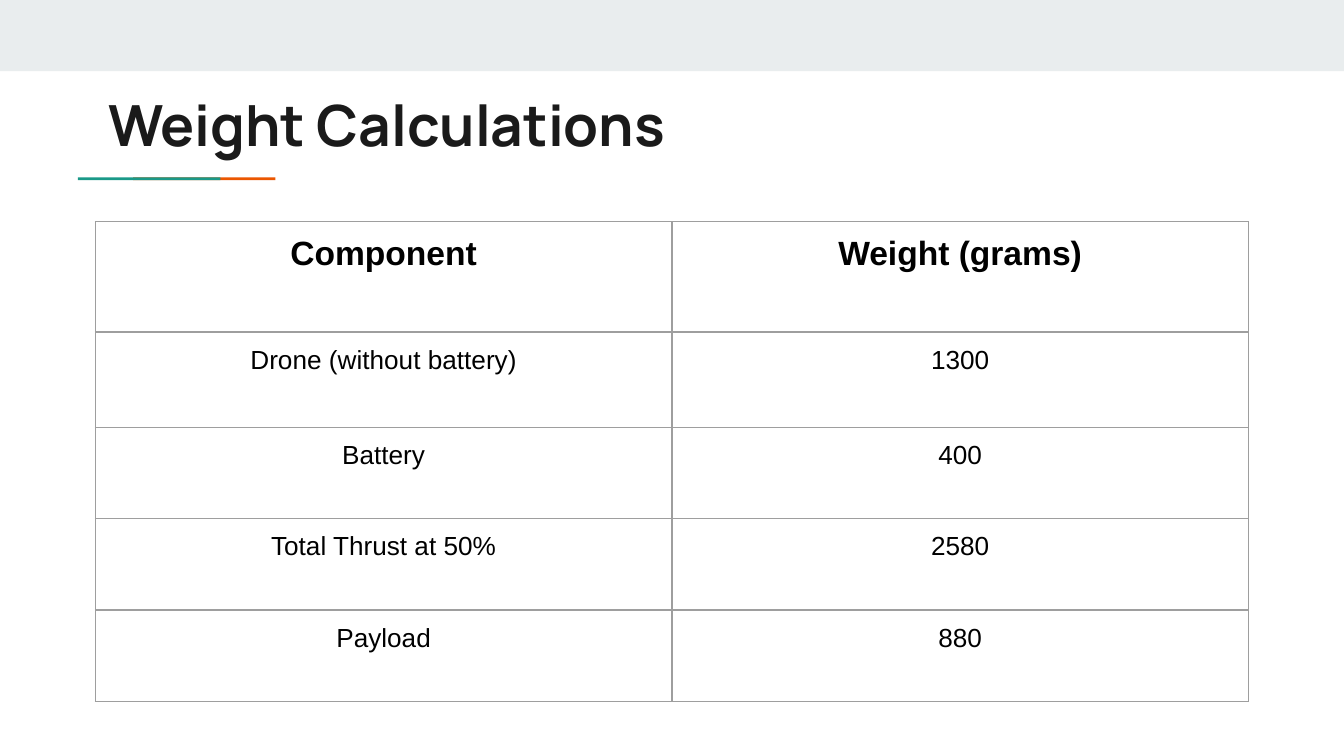
"""Build the Weight Calculations slide with its component table."""
from dataclasses import dataclass

from lxml import etree
from pptx import Presentation
from pptx import util as u
from pptx.dml.color import RGBColor
from pptx.enum import shapes, text
from pptx.oxml import ns


@dataclass(frozen=True)
class Theme:
    band: str = "E9EDEE"
    orange: str = "EB5600"
    teal: str = "1A9988"
    title: str = "1A1A1A"
    body: str = "000000"
    border: str = "9E9E9E"
    title_font: str = "Manrope"
    body_font: str = "Arial"
    title_size: float = 30.4
    header_size: float = 18
    body_size: float = 14


def style_text(holder, frame, words, align, color, formats):
    for side in ("left", "top", "right", "bottom"):
        setattr(holder, f"margin_{side}", u.Inches(0.1))
    para = frame.paragraphs[0]
    para.alignment = align
    span = para.add_run()
    span.text = words
    for name, value in formats.items():
        setattr(span.font, name, value)
    span.font.color.rgb = RGBColor.from_string(color)


def draw_borders(cell, color, width):
    properties = cell._tc.get_or_add_tcPr()
    for position, side in enumerate(("lnL", "lnR", "lnT", "lnB")):
        line = etree.Element(ns.qn(f"a:{side}"), w=str(u.Pt(width)))
        fill = etree.SubElement(line, ns.qn("a:solidFill"))
        etree.SubElement(fill, ns.qn("a:srgbClr"), val=color)
        properties.insert(position, line)


theme = Theme()
deck = Presentation()
deck.slide_width = u.Inches(10)
deck.slide_height = deck.slide_width * 9 // 16
page = deck.slides.add_slide(deck.slide_layouts[6])

bars = [
    (0, 0, 10, 0.53, theme.band),
    (0.99, 1.32, 1.06, 0.02, theme.orange),
    (0.58, 1.32, 1.06, 0.02, theme.teal),
]
for *place, color in bars:
    bar = page.shapes.add_shape(shapes.MSO_SHAPE.RECTANGLE, *map(u.Inches, place))
    bar.shadow.inherit = False
    bar.fill.solid()
    bar.fill.fore_color.rgb = RGBColor.from_string(color)
    bar.line.fill.background()

left = u.Inches(0.71)
box = page.shapes.add_textbox(left, u.Inches(0.57), u.Inches(8.41), u.Inches(0.59))
box.text_frame.word_wrap = True
title_format = {"name": theme.title_font, "size": u.Pt(theme.title_size), "bold": True}
style_text(box.text_frame, box.text_frame, "Weight Calculations",
           text.PP_ALIGN.LEFT, theme.title, title_format)

rows = [
    ("Component", "Weight (grams)"),
    ("Drone (without battery)", "1300"),
    ("Battery", "400"),
    ("Total Thrust at 50%", "2580"),
    ("Payload", "880"),
]
heights = [0.82, 0.71] + [0.68] * 3
column_width = 4.29
table = page.shapes.add_table(len(rows), 2, left, u.Inches(1.65),
                              u.Inches(2 * column_width), u.Inches(sum(heights))).table
for column in table.columns:
    column.width = u.Inches(column_width)
for index, (words, height) in enumerate(zip(rows, heights)):
    table.rows[index].height = u.Inches(height)
    header = index == 0
    size = theme.header_size if header else theme.body_size
    cell_format = {"name": theme.body_font, "size": u.Pt(size), "bold": header}
    for cell, word in zip(table.rows[index].cells, words):
        cell.fill.background()
        style_text(cell, cell.text_frame, word, text.PP_ALIGN.CENTER, theme.body, cell_format)
        draw_borders(cell, theme.border, 0.75)

deck.save("out.pptx")
